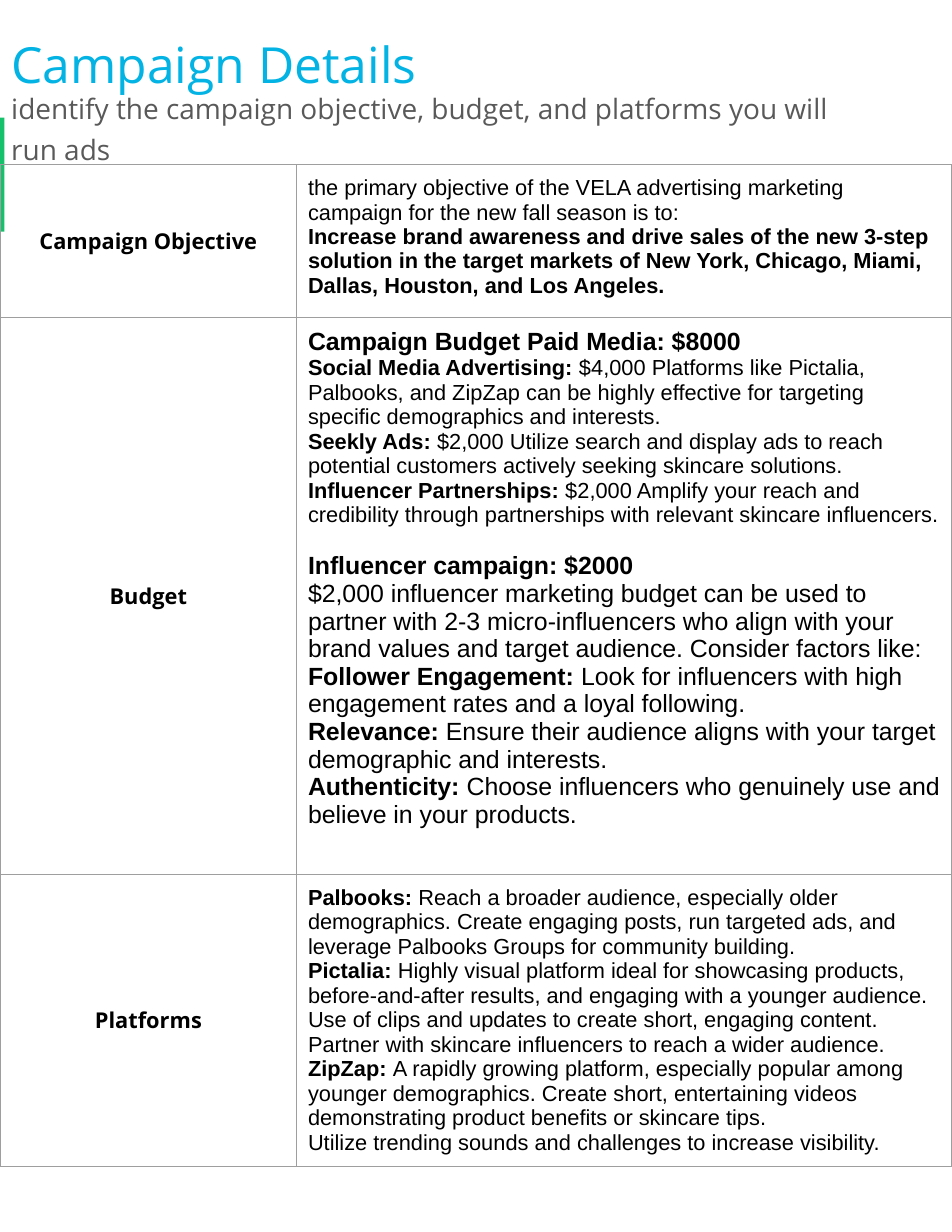
import pptx
import pptx.util
import pptx.dml.color
import pptx.enum.shapes
import pptx.enum.text
import pptx.oxml
import pptx.oxml.ns

Pt = pptx.util.Pt
ANCHOR = pptx.enum.text.MSO_ANCHOR
ALIGN = pptx.enum.text.PP_ALIGN
COLORS = {
    "accent": "15C26B",
    "title": "02B3E4",
    "subtitle": "595959",
    "text": "000000",
    "border": "9E9E9E",
}
INSET = 7.2

ROWS = [
    ("Campaign Objective", 98.2, [
        (14, "", "the primary objective of the VELA advertising marketing campaign for the new fall season is to:"),
        (14, "Increase brand awareness and drive sales of the new 3-step solution in the target markets of "
             "New York, Chicago, Miami, Dallas, Houston, and Los Angeles.", ""),
    ]),
    ("Budget", 358.2, [
        (16, "Campaign Budget Paid Media: $8000", ""),
        (14, "Social Media Advertising:", " $4,000 Platforms like Pictalia, Palbooks, and ZipZap can be "
             "highly effective for targeting specific demographics and interests."),
        (14, "Seekly Ads:", " $2,000 Utilize search and display ads to reach potential customers "
             "actively seeking skincare solutions."),
        (14, "Influencer Partnerships:", " $2,000 Amplify your reach and credibility through partnerships "
             "with relevant skincare influencers."),
        (16, "Influencer campaign: $2000", "", 16),
        (16, "", "$2,000 influencer marketing budget can be used to partner with 2-3 micro-influencers who "
                 "align with your brand values and target audience. Consider factors like:"),
        (16, "Follower Engagement:", " Look for influencers with high engagement rates and a loyal following."),
        (16, "Relevance:", " Ensure their audience aligns with your target demographic and interests."),
        (16, "Authenticity:", " Choose influencers who genuinely use and believe in your products."),
    ]),
    ("Platforms", 187.5, [
        (14, "Palbooks: ", "Reach a broader audience, especially older demographics. Create engaging posts, "
                           "run targeted ads, and leverage Palbooks Groups for community building."),
        (14, "Pictalia: ", "Highly visual platform ideal for showcasing products, before-and-after results, "
                           "and engaging with a younger audience."),
        (14, "", "Use of clips and updates to create short, engaging content."),
        (14, "", "Partner with skincare influencers to reach a wider audience."),
        (14, "ZipZap: ", "A rapidly growing platform, especially popular among younger demographics. "
                         "Create short, entertaining videos demonstrating product benefits or skincare tips."),
        (14, "", "Utilize trending sounds and challenges to increase visibility."),
    ]),
]


def rgb(name):
    return pptx.dml.color.RGBColor.from_string(COLORS[name])


def add_run(p, text, font, size, color, bold=False):
    r = p.add_run()
    r.text = text
    r.font.name = font
    r.font.size = Pt(size)
    r.font.bold = bold
    r.font.color.rgb = rgb(color)


def set_insets(obj):
    for side in ("left", "top", "right", "bottom"):
        setattr(obj, "margin_" + side, Pt(INSET))


def fill_placeholder(sp, box, text, size, color, anchor, spacing):
    sp.left, sp.top, sp.width, sp.height = (Pt(v) for v in box)
    tf = sp.text_frame
    tf.word_wrap = True
    tf.auto_size = pptx.enum.text.MSO_AUTO_SIZE.NONE
    tf.vertical_anchor = anchor
    set_insets(tf)
    p = tf.paragraphs[0]
    p.alignment = ALIGN.LEFT
    p.line_spacing = spacing
    p.space_before = Pt(0)
    pPr = p._p.get_or_add_pPr()
    pPr.set("marL", "0")
    pPr.set("indent", "0")
    pPr.append(pptx.oxml.parse_xml("<a:buNone %s/>" % pptx.oxml.ns.nsdecls("a")))
    add_run(p, text, "Open Sans", size, color)


def add_header(s, left, top, width):
    fill_placeholder(s.shapes.title, (left, top, width, 87.8), "Campaign Details",
                     32, "title", ANCHOR.MIDDLE, 1.15)
    fill_placeholder(s.placeholders[1], (left, top + 53.3, width, 65.5),
                     "identify the campaign objective, budget, and platforms you will run ads",
                     18, "subtitle", ANCHOR.TOP, 1.2)


def add_accent(s, left, top, width, height):
    sp = s.shapes.add_shape(pptx.enum.shapes.MSO_SHAPE.RECTANGLE,
                            Pt(left), Pt(top), Pt(width), Pt(height))
    sp.shadow.inherit = False
    sp.fill.solid()
    sp.fill.fore_color.rgb = rgb("accent")
    sp.line.fill.background()


def style_cell(cell, anchor):
    tcPr = cell._tc.get_or_add_tcPr()
    for tag in ("lnL", "lnR", "lnT", "lnB"):
        tcPr.append(pptx.oxml.parse_xml(
            '<a:%s %s w="%d"><a:solidFill><a:srgbClr val="%s"/></a:solidFill></a:%s>'
            % (tag, pptx.oxml.ns.nsdecls("a"), Pt(0.75), COLORS["border"], tag)))
    cell.fill.background()
    cell.vertical_anchor = anchor
    set_insets(cell)


def fill_details(cell, paragraphs):
    tf = cell.text_frame
    for i, (size, lead, rest, *before) in enumerate(paragraphs):
        p = tf.add_paragraph() if i else tf.paragraphs[0]
        if before:
            p.space_before = Pt(before[0])
        for text, bold in ((lead, True), (rest, False)):
            if text:
                add_run(p, text, "Arial", size, "text", bold)


def add_details_table(s, left, top, width):
    height = sum(h for _, h, _ in ROWS)
    table = s.shapes.add_table(len(ROWS), 2, Pt(left), Pt(top), Pt(width), Pt(height)).table
    table.first_row = False
    table.horz_banding = False
    label_width = 190.8
    table.columns[0].width = Pt(label_width)
    table.columns[1].width = Pt(width - label_width)
    for i, (label, row_height, paragraphs) in enumerate(ROWS):
        table.rows[i].height = Pt(row_height)
        head, details = table.cell(i, 0), table.cell(i, 1)
        style_cell(head, ANCHOR.MIDDLE)
        style_cell(details, ANCHOR.TOP)
        p = head.text_frame.paragraphs[0]
        p.alignment = ALIGN.CENTER
        add_run(p, label, "Open Sans", 14, "text", True)
        fill_details(details, paragraphs)


def main():
    prs = pptx.Presentation()
    prs.slide_width, prs.slide_height = Pt(612), Pt(792)
    s = prs.slides.add_slide(prs.slide_layouts[1])
    add_accent(s, 0, 75.6, 2.9, 73.4)
    add_header(s, 0, -5.8, 570.2)
    add_details_table(s, 0, 105.8, 612)
    prs.save("out.pptx")


if __name__ == "__main__":
    main()
